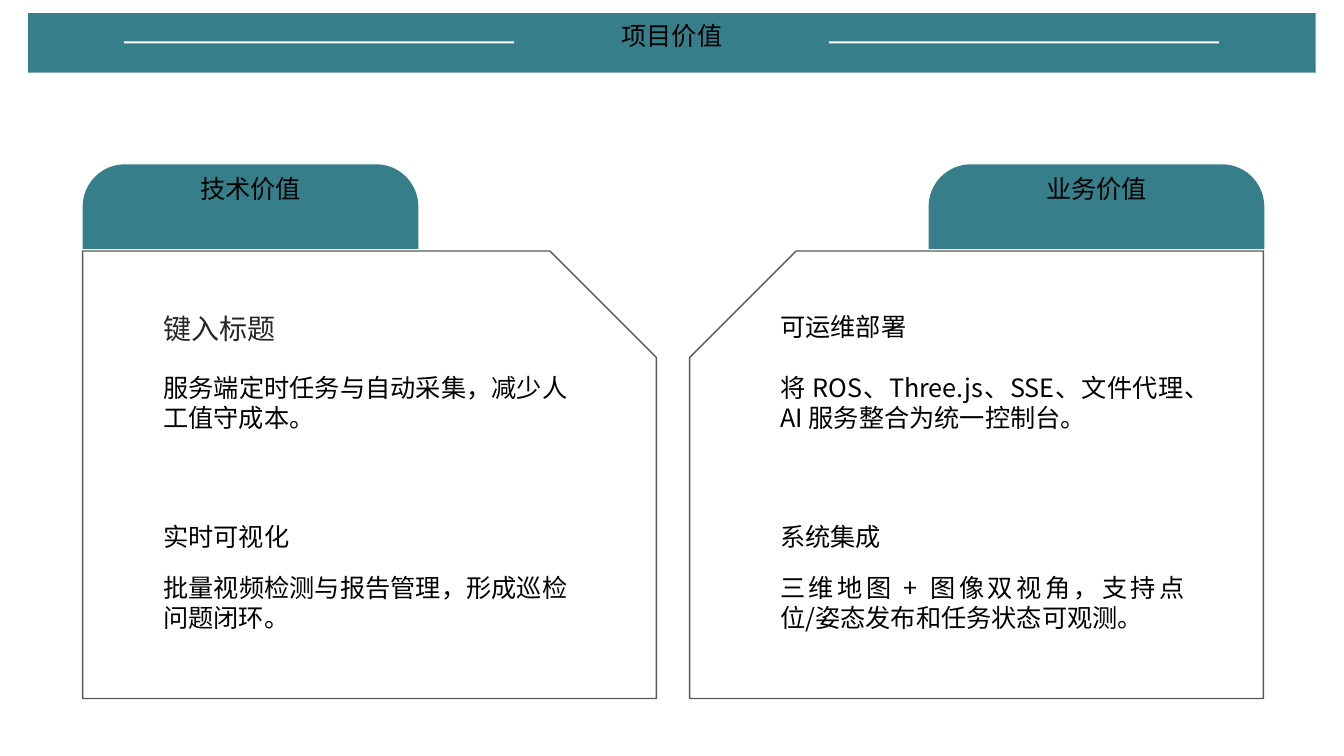
"""Build the project value slide with two mirrored cards."""
from lxml import etree
from pptx import Presentation
from pptx.dml.color import RGBColor
from pptx.enum import shapes as kinds, text as txt
from pptx.oxml.ns import qn
from pptx.util import Inches, Pt

TITLE = "项目价值"
CARDS = [
    {"label": "技术价值", "left": 0.82, "tab_left": 0.82, "text_left": 1.52, "flip": False,
     "points": [("键入标题", 20, "262626", "服务端定时任务与自动采集，减少人工值守成本。"),
                ("实时可视化", 18, "000000", "批量视频检测与报告管理，形成巡检问题闭环。")]},
    {"label": "业务价值", "left": 6.84, "tab_left": 9.21, "text_left": 7.64, "flip": True,
     "points": [("可运维部署", 18, "000000",
                 "将 ROS、Three.js、SSE、文件代理、AI 服务整合为统一控制台。"),
                ("系统集成", 18, "000000", "三维地图 + 图像双视角，支持点位/姿态发布和任务状态可观测。")]},
]
FONT, TEAL, WHITE, GREY, BLACK = "Noto Sans CJK SC", "367F8A", "FFFFFF", "595959", "000000"
CARD_TOP, CARD_W, CARD_H = 2.49, 5.69, 4.44
TAB_TOP, TAB_W, TAB_H = 1.63, 3.33, 0.84
TEXT_W = 4.21
POINT_ROWS = [(3.04, 3.64), (5.12, 5.63)]


def rgb(code):
    return RGBColor.from_string(code)


def add_block(slide, preset, box, fill=None, line=None, adjustments=()):
    block = slide.shapes.add_shape(preset, *map(Inches, box))
    block.shadow.inherit = False
    for index, value in enumerate(adjustments):
        block.adjustments[index] = value
    if fill:
        block.fill.solid()
        block.fill.fore_color.rgb = rgb(fill)
    else:
        block.fill.background()
    if line:
        block.line.color.rgb = rgb(line)
        block.line.width = Pt(1)
    else:
        block.line.fill.background()
    return block


def write(frame, words, align, size=18, color=BLACK):
    frame.text = words
    frame.word_wrap = True
    frame.auto_size = txt.MSO_AUTO_SIZE.NONE
    frame.vertical_anchor = txt.MSO_ANCHOR.TOP
    paragraph = frame.paragraphs[0]
    paragraph.alignment = align
    paragraph.line_spacing = 1.0
    paragraph.space_before = Pt(0)
    for run in paragraph.runs:
        run.font.size = Pt(size)
        run.font.name = FONT
        run.font.color.rgb = rgb(color)
        etree.SubElement(run.font._element, qn("a:ea")).set("typeface", FONT)


def add_words(slide, box, *style):
    write(slide.shapes.add_textbox(*map(Inches, box)).text_frame, *style)


def add_header(slide):
    rect = kinds.MSO_SHAPE.RECTANGLE
    banner = add_block(slide, rect, (0.28, 0.13, 12.77, 0.59), TEAL)
    slide.shapes._spTree.insert(2, banner._element)
    title = slide.shapes.title
    title.left, title.top, title.width, title.height = map(Inches, (5.27, 0.15, 2.79, 0.5))
    write(title.text_frame, TITLE, txt.PP_ALIGN.CENTER)
    for rule_left in (1.23, 8.22):
        add_block(slide, rect, (rule_left, 0.41, 3.87, 0.02), WHITE)


def add_card(slide, card):
    tab_left, text_left = card["tab_left"], card["text_left"]
    add_block(slide, kinds.MSO_SHAPE.ROUND_2_SAME_RECTANGLE,
              (tab_left, TAB_TOP, TAB_W, TAB_H), TEAL, adjustments=(0.5, 0))
    add_words(slide, (tab_left, TAB_TOP + 0.04, TAB_W, 0.5), card["label"], txt.PP_ALIGN.CENTER)
    panel = add_block(slide, kinds.MSO_SHAPE.SNIP_1_RECTANGLE,
                      (card["left"], CARD_TOP, CARD_W, CARD_H), line=GREY, adjustments=(0.238,))
    if card["flip"]:
        panel._element.spPr.xfrm.set("flipH", "1")
    for (head_top, body_top), (head, size, color, body) in zip(POINT_ROWS, card["points"]):
        add_words(slide, (text_left, head_top, TEXT_W, 0.5), head, txt.PP_ALIGN.LEFT, size, color)
        add_words(slide, (text_left, body_top, TEXT_W, 0.85), body, txt.PP_ALIGN.JUSTIFY)


def main():
    deck = Presentation()
    deck.slide_width, deck.slide_height = Inches(13.33), Inches(7.5)
    slide = deck.slides.add_slide(deck.slide_layouts[5])
    add_header(slide)
    for card in CARDS:
        add_card(slide, card)
    deck.save("out.pptx")


if __name__ == "__main__":
    main()
